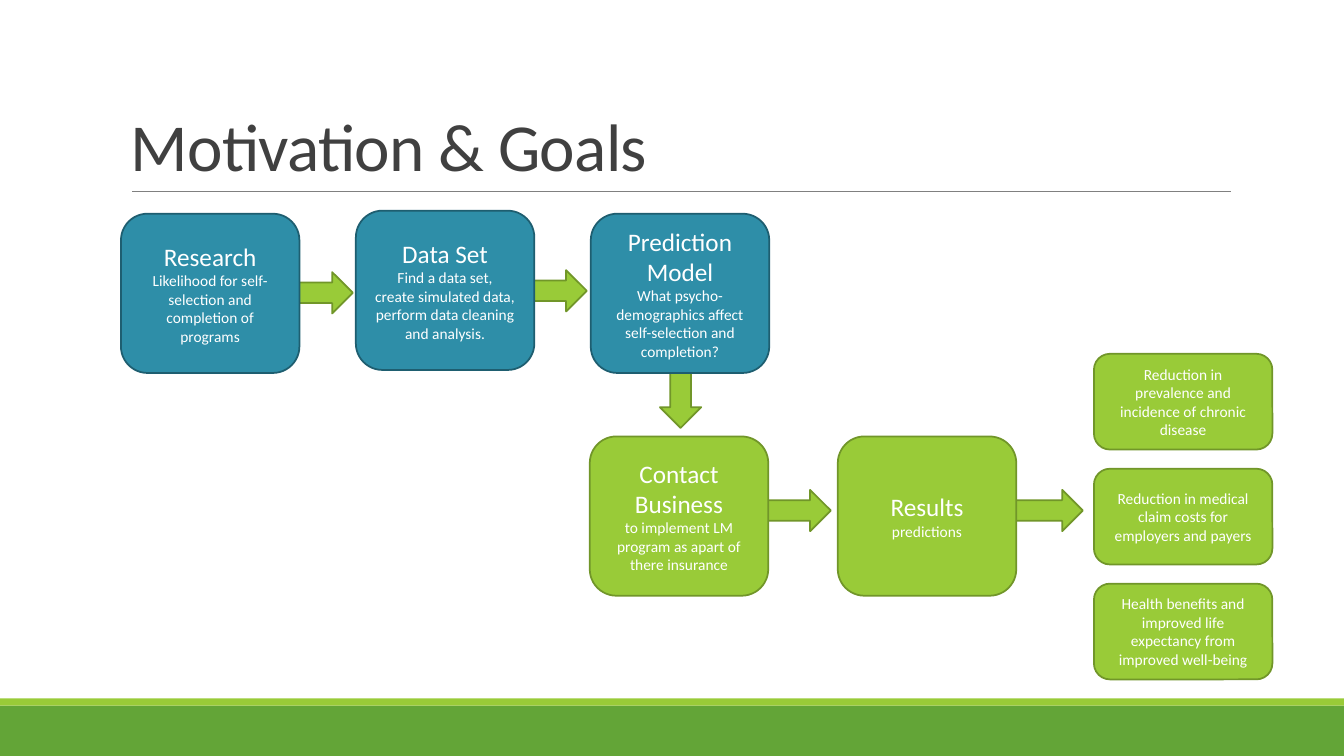
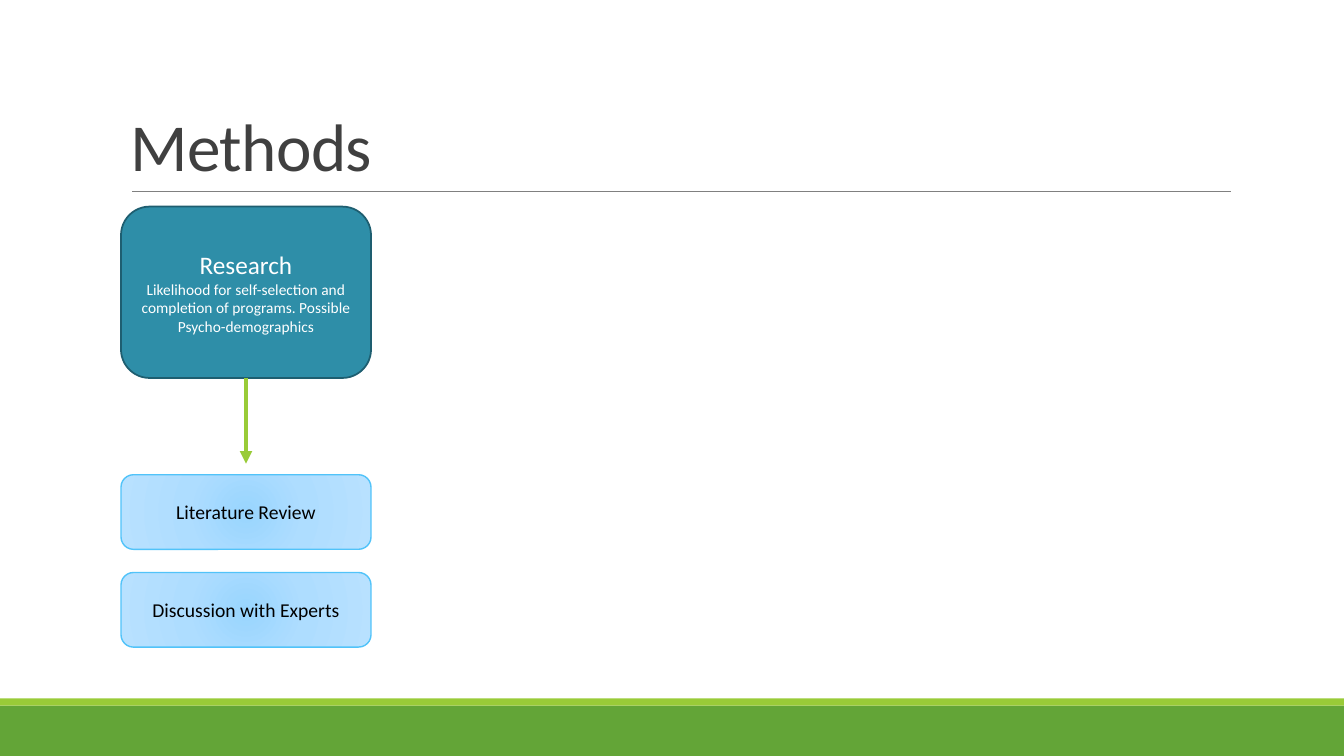
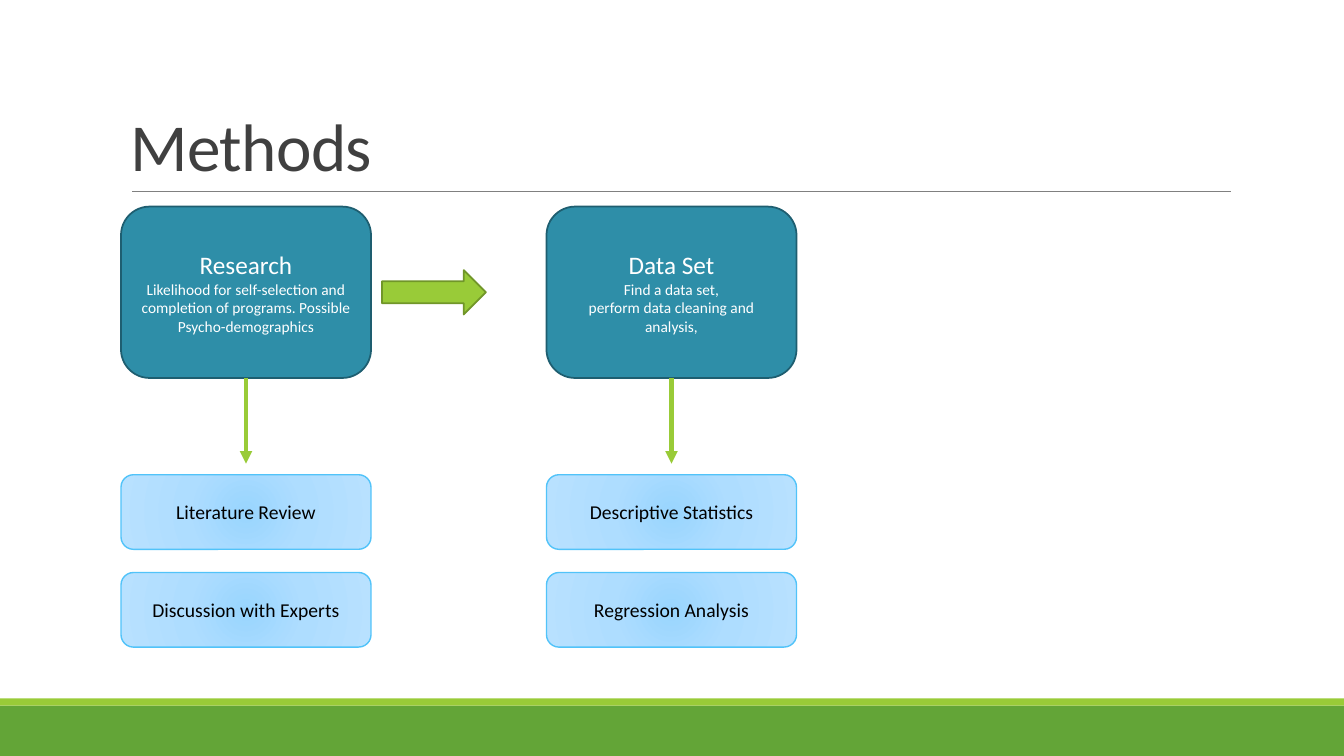
from dataclasses import dataclass

from pptx import Presentation
from pptx.dml.color import RGBColor
from pptx.enum.shapes import MSO_CONNECTOR, MSO_SHAPE
from pptx.enum.text import MSO_ANCHOR, PP_ALIGN
from pptx.oxml import parse_xml
from pptx.oxml.ns import nsdecls, qn
from pptx.oxml.xmlchemy import OxmlElement
from pptx.util import Inches, Pt

RECT = MSO_SHAPE.RECTANGLE
ROUNDED = MSO_SHAPE.ROUNDED_RECTANGLE
ARROW = MSO_SHAPE.RIGHT_ARROW
STRAIGHT = MSO_CONNECTOR.STRAIGHT
MIDDLE, BOTTOM = MSO_ANCHOR.MIDDLE, MSO_ANCHOR.BOTTOM
CENTER = PP_ALIGN.CENTER
BOTTOM_SITE = 2

WHITE = RGBColor(0xFF, 0xFF, 0xFF)
BLACK = RGBColor(0x00, 0x00, 0x00)
TITLE_GREY = RGBColor(0x40, 0x40, 0x40)
RULE_GREY = RGBColor(0x80, 0x80, 0x80)
GREEN = RGBColor(0x63, 0xA5, 0x37)
LIME = RGBColor(0x99, 0xCB, 0x38)
LIME_EDGE = RGBColor(0x71, 0x96, 0x29)
TEAL = RGBColor(0x2E, 0x8E, 0xA8)
TEAL_EDGE = RGBColor(0x1E, 0x5E, 0x70)
SKY_EDGE = RGBColor(0x51, 0xC3, 0xF9)
SKY_STOPS = (
    (0, RGBColor(0x99, 0xD5, 0xFE)),
    (45, RGBColor(0xAE, 0xDD, 0xFF)),
    (100, RGBColor(0xB8, 0xE1, 0xFF)),
)

FONT = "Calibri"
SLIDE_W, SLIDE_H = 13.33, 7.5
LEFT = 1.2
HEADING_PT, BODY_PT, STEP_PT = 18, 11, 14

# Grid of the goals slide
GOAL_W, GOAL_H, GOAL_PITCH = 1.77, 1.58, 2.33
GOAL_TOP, BUSINESS_TOP = 2.12, 4.33
BUSINESS_LEFT, BUSINESS_PITCH = 5.85, 2.46
OUTCOME_LEFT, OUTCOME_TOP, OUTCOME_H, OUTCOME_PITCH = 10.85, 3.51, 0.95, 1.14

# Grid of the methods slides
METHOD_W, METHOD_H, METHOD_TOP, METHOD_PITCH = 2.48, 1.7, 2.05, 4.22
STEP_TOP, STEP_H, STEP_PITCH = 4.71, 0.74, 0.97
STEP_ARROW_END = 4.6


@dataclass(frozen=True)
class Box:
    x: float
    y: float
    w: float
    h: float


@dataclass(frozen=True)
class Style:
    fill: RGBColor | None  # None stands for the sky gradient
    edge: RGBColor
    edge_pt: float
    text: RGBColor


@dataclass(frozen=True)
class Card:
    heading: str
    body: tuple[str, ...]


@dataclass(frozen=True)
class Method:
    card: Card
    steps: tuple[str, ...]


TEAL_CARD = Style(TEAL, TEAL_EDGE, 1.25, WHITE)
LIME_CARD = Style(LIME, LIME_EDGE, 1.25, WHITE)
SKY_CARD = Style(None, SKY_EDGE, 1, BLACK)

# Content
GOALS = (
    Card("Research", ("Likelihood for self-selection and completion of programs",)),
    Card("Data Set", ("Find a data set,",
                      "create simulated data, perform data cleaning and analysis.")),
    Card("Prediction Model",
         ("What psycho-demographics affect self-selection and completion?",)),
)
GOAL_RISES = (0, 0.03, 0)
BUSINESS = (
    Card("Contact Business", ("to implement LM program as apart of there insurance",)),
    Card("Results", ("predictions",)),
)
OUTCOMES = (
    "Reduction in prevalence and incidence of chronic disease",
    "Reduction in medical claim costs for employers and payers",
    "Health benefits and improved life expectancy from improved well-being",
)
GOAL_ARROWS = ((2.76, 2.7, 0), (5.08, 2.68, 0), (6.38, 3.67, 90),
               (7.5, 4.86, 0), (10, 4.86, 0))
RESEARCH = Method(
    Card("Research", ("Likelihood for self-selection and completion of programs. "
                      "Possible Psycho-demographics",)),
    ("Literature Review", "Discussion with Experts"),
)
DATA_SET = Method(
    Card("Data Set", ("Find a data set,", "perform data cleaning and analysis,")),
    ("Descriptive Statistics", "Regression Analysis"),
)


def lengths(box: Box) -> tuple:
    return Inches(box.x), Inches(box.y), Inches(box.w), Inches(box.h)


def fill_sky(shape) -> None:
    """Give the shape a gradient spreading from its centre."""
    stops = "".join(
        f'<a:gs pos="{share * 1000}"><a:srgbClr val="{color}"/></a:gs>'
        for share, color in SKY_STOPS)
    gradient = parse_xml(
        f'<a:gradFill {nsdecls("a")} rotWithShape="1"><a:gsLst>{stops}</a:gsLst>'
        '<a:path path="circle"><a:fillToRect l="100000" t="100000" '
        'r="100000" b="100000"/></a:path></a:gradFill>')
    shape._element.spPr.find(qn("a:prstGeom")).addnext(gradient)


def add_block(slide, kind, box: Box, style: Style):
    shape = slide.shapes.add_shape(kind, *lengths(box))
    shape.shadow.inherit = False
    if style.fill is None:
        fill_sky(shape)
    else:
        shape.fill.solid()
        shape.fill.fore_color.rgb = style.fill
    shape.line.color.rgb = style.edge
    shape.line.width = Pt(style.edge_pt)
    return shape


def add_card(slide, box: Box, style: Style, lines: tuple[tuple[str, int], ...]):
    """Draw a rounded box with one centred paragraph for each (text, size)."""
    card = add_block(slide, ROUNDED, box, style)
    frame = card.text_frame
    frame.word_wrap = True
    frame.vertical_anchor = MIDDLE
    frame.text = "\n".join(text for text, _ in lines)
    for paragraph, (_, size) in zip(frame.paragraphs, lines):
        paragraph.alignment = CENTER
        font = paragraph.runs[0].font
        font.name, font.size = FONT, Pt(size)
        font.color.rgb = style.text
    return card


def card_lines(card: Card) -> tuple[tuple[str, int], ...]:
    return ((card.heading, HEADING_PT), *((text, BODY_PT) for text in card.body))


def add_line(slide, x1: float, y1: float, x2: float, y2: float,
             color: RGBColor, width: float):
    line = slide.shapes.add_connector(
        STRAIGHT, Inches(x1), Inches(y1), Inches(x2), Inches(y2))
    line.line.color.rgb = color
    line.line.width = Pt(width)
    line._element.spPr.append(OxmlElement("a:effectLst"))
    return line


def add_step_arrow(slide, card, x: float) -> None:
    arrow = add_line(slide, x, METHOD_TOP + METHOD_H, x, STEP_ARROW_END, LIME, 3)
    arrow.begin_connect(card, BOTTOM_SITE)
    head = OxmlElement("a:tailEnd")
    head.set("type", "triangle")
    arrow.line._get_or_add_ln().append(head)


def new_slide(deck, title: str):
    """Add a slide with the shared bands, rule and title."""
    slide = deck.slides.add_slide(deck.slide_layouts[6])
    for top, height, color in ((7, 0.5, GREEN), (6.93, 0.07, LIME)):
        band = add_block(slide, RECT, Box(0, top, SLIDE_W, height),
                         Style(color, color, 0, WHITE))
        band.line.fill.background()
    add_line(slide, 1.31, 1.9, 12.21, 1.9, RULE_GREY, 0.5)

    frame = slide.shapes.add_textbox(*lengths(Box(LEFT, 0.31, 11, 1.58))).text_frame
    frame.word_wrap = True
    frame.vertical_anchor = BOTTOM
    frame.text = title
    paragraph = frame.paragraphs[0]
    paragraph.line_spacing = 0.85
    font = paragraph.runs[0].font
    font.name, font.size = FONT, Pt(48)
    font.color.rgb = TITLE_GREY
    paragraph.runs[0]._r.get_or_add_rPr().set("spc", "-50")
    return slide


def draw_goals(deck) -> None:
    slide = new_slide(deck, "Motivation & Goals")
    # Arrows lie under the boxes
    for x, y, angle in GOAL_ARROWS:
        arrow = add_block(slide, ARROW, Box(x, y, 0.74, 0.41), LIME_CARD)
        arrow.rotation = angle
    for column, (goal, rise) in enumerate(zip(GOALS, GOAL_RISES)):
        box = Box(LEFT + column * GOAL_PITCH, GOAL_TOP - rise, GOAL_W, GOAL_H)
        add_card(slide, box, TEAL_CARD, card_lines(goal))
    for column, stage in enumerate(BUSINESS):
        box = Box(BUSINESS_LEFT + column * BUSINESS_PITCH, BUSINESS_TOP,
                  GOAL_W, GOAL_H)
        add_card(slide, box, LIME_CARD, card_lines(stage))
    for row, outcome in enumerate(OUTCOMES):
        box = Box(OUTCOME_LEFT, OUTCOME_TOP + row * OUTCOME_PITCH, GOAL_W, OUTCOME_H)
        add_card(slide, box, LIME_CARD, ((outcome, BODY_PT),))


def draw_methods(deck, methods: tuple[Method, ...]) -> None:
    slide = new_slide(deck, "Methods")
    for column, method in enumerate(methods):
        x = LEFT + column * METHOD_PITCH
        if column:
            add_block(slide, ARROW, Box(x - 1.63, 2.68, 1.03, 0.44), LIME_CARD)
        card = add_card(slide, Box(x, METHOD_TOP, METHOD_W, METHOD_H),
                        TEAL_CARD, card_lines(method.card))
        add_step_arrow(slide, card, x + METHOD_W / 2)
        for row, step in enumerate(method.steps):
            box = Box(x, STEP_TOP + row * STEP_PITCH, METHOD_W, STEP_H)
            add_card(slide, box, SKY_CARD, ((step, STEP_PT),))


def main() -> None:
    deck = Presentation()
    deck.slide_width, deck.slide_height = Inches(SLIDE_W), Inches(SLIDE_H)
    draw_goals(deck)
    draw_methods(deck, (RESEARCH,))
    draw_methods(deck, (RESEARCH, DATA_SET))
    deck.save("out.pptx")


if __name__ == "__main__":
    main()
